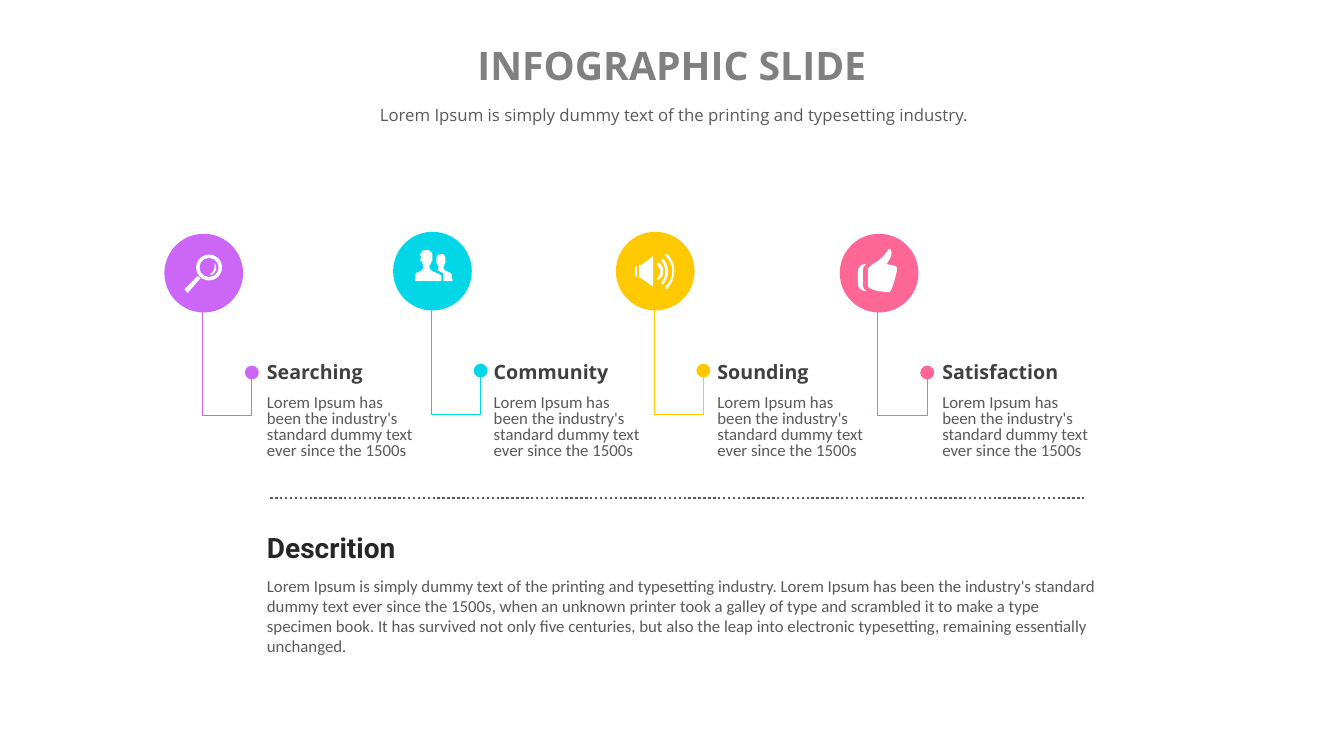
from dataclasses import dataclass

from lxml.etree import SubElement
from pptx import Presentation
from pptx.dml.color import RGBColor
from pptx.enum.dml import MSO_LINE
from pptx.enum.shapes import MSO_CONNECTOR, MSO_SHAPE
from pptx.enum.text import MSO_ANCHOR, MSO_AUTO_SIZE, PP_ALIGN
from pptx.oxml.ns import qn
from pptx.util import Pt

COLORS = {
    "purple": "CC66F6", "cyan": "02D6E7", "yellow": "FFC901", "pink": "FE6696",
    "white": "FFFFFF", "title": "808080", "body": "595959",
    "label": "404040", "heading": "262626",
}
DISC = 56.2
ICON_UNIT = Pt(0.72)
FINENESS = 100
STEP_TEXT = "Lorem Ipsum has been the industry's standard dummy text ever since the 1500s"
SUBTITLE = "Lorem Ipsum is simply dummy text of the printing and typesetting industry."
DESCRIPTION = (
    SUBTITLE + " Lorem Ipsum has been the industry's standard dummy text ever since "
    "the 1500s, when an unknown printer took a galley of type and scrambled it to make "
    "a type specimen book. It has survived not only five centuries, but also the leap "
    "into electronic typesetting, remaining essentially unchanged."
)
MAGNIFIER = [
    [(20, 55), (23, 59), (36, 44), (33, 42)],
    [(50, 29), (51, 38, 45, 40, 45, 40), (47, 41), (55, 36, 50, 29, 50, 29)],
]
PEOPLE = [
    [(59, 49), (58, 42), (57, 41, 56, 40, 53, 39), (51, 38, 50, 37, 50, 35),
     (50, 34, 51, 34, 51, 32), (51, 31, 52, 32, 52, 30), (52, 26),
     (52, 25, 51, 22, 48, 22), (44, 22, 43, 25, 43, 26), (43, 30),
     (43, 32, 44, 31, 44, 32), (44, 34, 45, 34, 45, 35), (45, 36, 45, 37, 44, 38),
     (50, 41, 50, 41, 50, 44), (50, 49)],
    [(41, 40), (37, 38, 36, 37, 36, 34), (36, 33, 37, 33, 38, 30),
     (38, 29, 39, 30, 39, 28), (39, 23), (39, 22, 38, 18, 33, 18),
     (28, 18, 27, 22, 27, 23), (28, 26), (28, 26, 27, 26, 27, 28),
     (27, 30, 28, 29, 29, 30), (29, 33, 30, 33, 30, 34), (30, 37, 29, 38, 25, 40),
     (24, 40, 22, 41, 22, 43), (22, 49), (48, 49), (48, 44), (48, 43, 44, 41, 41, 40)],
]
SPEAKER = [
    [(36, 25), (25, 33), (23, 33), (23, 45), (25, 46), (35, 53),
     (35, 53, 37, 55, 37, 53), (37, 25), (37, 23, 36, 25, 36, 25)],
    [(19, 36), (19, 43), (19, 44, 20, 44, 21, 45), (21, 34), (20, 34, 19, 35, 19, 36)],
    [(43, 31), (41, 31), (41, 33), (43, 35, 44, 37, 44, 39), (44, 42, 43, 44, 41, 46),
     (41, 47), (42, 48), (43, 47), (46, 45, 47, 42, 47, 39), (47, 36, 46, 33, 43, 31)],
    [(47, 27), (45, 27), (45, 29), (48, 32, 49, 36, 49, 39), (49, 43, 48, 47, 45, 50),
     (45, 52), (47, 52), (50, 48, 52, 44, 52, 39), (52, 35, 50, 30, 47, 27)],
    [(51, 22), (49, 22), (49, 24), (54, 28, 56, 34, 56, 39), (56, 45, 54, 50, 49, 54),
     (49, 56), (50, 57), (51, 56), (56, 51, 58, 45, 58, 39), (58, 33, 56, 27, 51, 22)],
]
THUMB = [
    [(47, 30), (46, 29, 55, 21, 50, 15), (49, 13, 45, 22, 39, 26),
     (36, 28, 28, 33, 28, 35), (28, 52), (28, 55, 40, 58, 49, 58),
     (52, 58, 57, 37, 57, 34), (57, 31, 47, 31, 47, 30)],
    [(26, 30), (24, 30, 18, 31, 18, 38), (18, 49), (18, 56, 24, 57, 26, 57),
     (27, 57, 23, 55, 23, 51), (23, 36), (23, 32, 27, 30, 26, 30)],
]


@dataclass
class Step:
    """One stage: its label, colour, icon and places in points."""
    label: str
    color: str
    icon: list
    disc_left: float
    disc_top: float
    text_left: float


STEPS = [
    Step("Searching", "purple", MAGNIFIER, 117.4, 167, 183.6),
    Step("Community", "cyan", PEOPLE, 280.8, 165.6, 345.6),
    Step("Sounding", "yellow", SPEAKER, 439.9, 165.6, 505.4),
    Step("Satisfaction", "pink", THUMB, 599.8, 167, 666),
]


def rgb(color):
    """Return the named colour."""
    return RGBColor.from_string(COLORS[color])


def paint(shape, color):
    """Give a shape a flat fill without line or shadow."""
    shape.shadow.inherit = False
    shape.fill.solid()
    shape.fill.fore_color.rgb = rgb(color)
    shape.line.fill.background()


def write(paragraph, text, font, size, color, bold=False):
    """Set the text of a paragraph and format its run."""
    paragraph.text = text
    face = paragraph.runs[0].font
    face.name, face.size, face.bold = font, Pt(size), bold
    face.color.rgb = rgb(color)


def trace(contour):
    """Turn points and cubic curves into finely scaled polygon vertices."""
    vertices = [contour[0]]
    for segment in contour[1:]:
        if len(segment) == 2:
            vertices.append(segment)
            continue
        start = vertices[-1]
        for t in (k / 6 for k in range(1, 7)):
            vertices.append(tuple(
                (1 - t) ** 3 * start[axis] + 3 * (1 - t) ** 2 * t * segment[axis]
                + 3 * (1 - t) * t ** 2 * segment[axis + 2] + t ** 3 * segment[axis + 4]
                for axis in (0, 1)))
    return [(x * FINENESS, y * FINENESS) for x, y in vertices]


def add_badge(slide, step):
    """Draw the coloured disc with its white icon."""
    badge = slide.shapes.add_group_shape().shapes
    left, top = Pt(step.disc_left), Pt(step.disc_top)
    paint(badge.add_shape(MSO_SHAPE.OVAL, left, top, Pt(DISC), Pt(DISC)), step.color)
    outlines = [trace(contour) for contour in step.icon]
    icon = badge.build_freeform(*outlines[0][0], scale=ICON_UNIT / FINENESS)
    for outline in outlines:
        icon.move_to(*outline[0])
        icon.add_line_segments(outline[1:], close=True)
    paint(icon.convert_to_shape(left, top), "white")
    if step.icon is MAGNIFIER:
        lens = badge.add_shape(
            MSO_SHAPE.DONUT, left + Pt(22.7), top + Pt(14.8), Pt(18.5), Pt(18.5))
        lens.adjustments[0] = 0.13
        paint(lens, "white")


def add_line(slide, kind, start, end, color, width):
    """Draw a connector without shadow."""
    line = slide.shapes.add_connector(kind, *map(Pt, start + end))
    line.line.color.rgb = rgb(color)
    line.line.width = Pt(width)
    SubElement(line._element.spPr, qn("a:effectLst"))
    return line


def add_stem(slide, step):
    """Draw the bent stem from the disc to the dot beside the label."""
    left, top = step.disc_left + 22.9, step.disc_top + 59.5
    stem = add_line(slide, MSO_CONNECTOR.ELBOW, (left, top + 35.3), (left + 43.9, top),
                    step.color, 0.5)
    properties = stem._element.spPr
    properties.find(qn("a:xfrm")).set("rot", "5400000")
    geometry = properties.find(qn("a:prstGeom"))
    guides = geometry.find(qn("a:avLst"))
    if guides is None:
        guides = SubElement(geometry, qn("a:avLst"))
    SubElement(guides, qn("a:gd"), name="adj1", fmla="val 170400")
    SubElement(properties.find(qn("a:ln")), qn("a:tailEnd"), type="oval", w="lg", len="lg")


def add_passage(slide, box, heading, body, spacing):
    """Add a heading with a paragraph below; heading is text, font, size, colour."""
    frame = slide.shapes.add_textbox(*map(Pt, box)).text_frame
    frame.word_wrap = True
    write(frame.paragraphs[0], *heading, bold=True)
    write(frame.add_paragraph(), body, "Calibri", 12, "body")
    for paragraph in frame.paragraphs:
        paragraph.line_spacing = spacing
        paragraph.space_before = Pt(paragraph.runs[0].font.size.pt * 0.2)
        paragraph.space_after = Pt(6)


def fill_placeholder(shape, box, anchor, *style):
    """Move a placeholder and write one centred line in it."""
    shape.left, shape.top, shape.width, shape.height = map(Pt, box)
    frame = shape.text_frame
    frame.auto_size, frame.word_wrap = MSO_AUTO_SIZE.NONE, True
    frame.vertical_anchor = anchor
    write(frame.paragraphs[0], *style)
    frame.paragraphs[0].alignment = PP_ALIGN.CENTER
    frame.paragraphs[0].space_before = Pt(0)


def main():
    """Build the slide and save it."""
    deck = Presentation()
    deck.slide_width, deck.slide_height = Pt(960), Pt(540)
    slide = deck.slides.add_slide(deck.slide_layouts[0])
    fill_placeholder(slide.shapes.title, (195.1, 28.8, 569.5, 35.3), MSO_ANCHOR.MIDDLE,
                     "INFOGRAPHIC SLIDE", "Open Sans", 28, "title", True)
    fill_placeholder(slide.placeholders[1], (239, 71.3, 485.3, 21.6), MSO_ANCHOR.TOP,
                     SUBTITLE, "Open Sans", 12, "body")
    for step in STEPS:
        add_badge(slide, step)
        add_stem(slide, step)
        add_passage(slide, (step.text_left, 257, 120.2, 71.3),
                    (step.label, "Open Sans", 14, "label"), STEP_TEXT, 0.8)
    divider = add_line(slide, MSO_CONNECTOR.STRAIGHT, (193, 355.7), (774, 355.7),
                       "body", 1.75)
    divider.line.dash_style = MSO_LINE.ROUND_DOT
    add_passage(slide, (183.6, 375.1, 612, 97.2),
                ("Descrition", "Roboto", 20, "heading"), DESCRIPTION, 1.0)
    deck.save("out.pptx")


if __name__ == "__main__":
    main()
